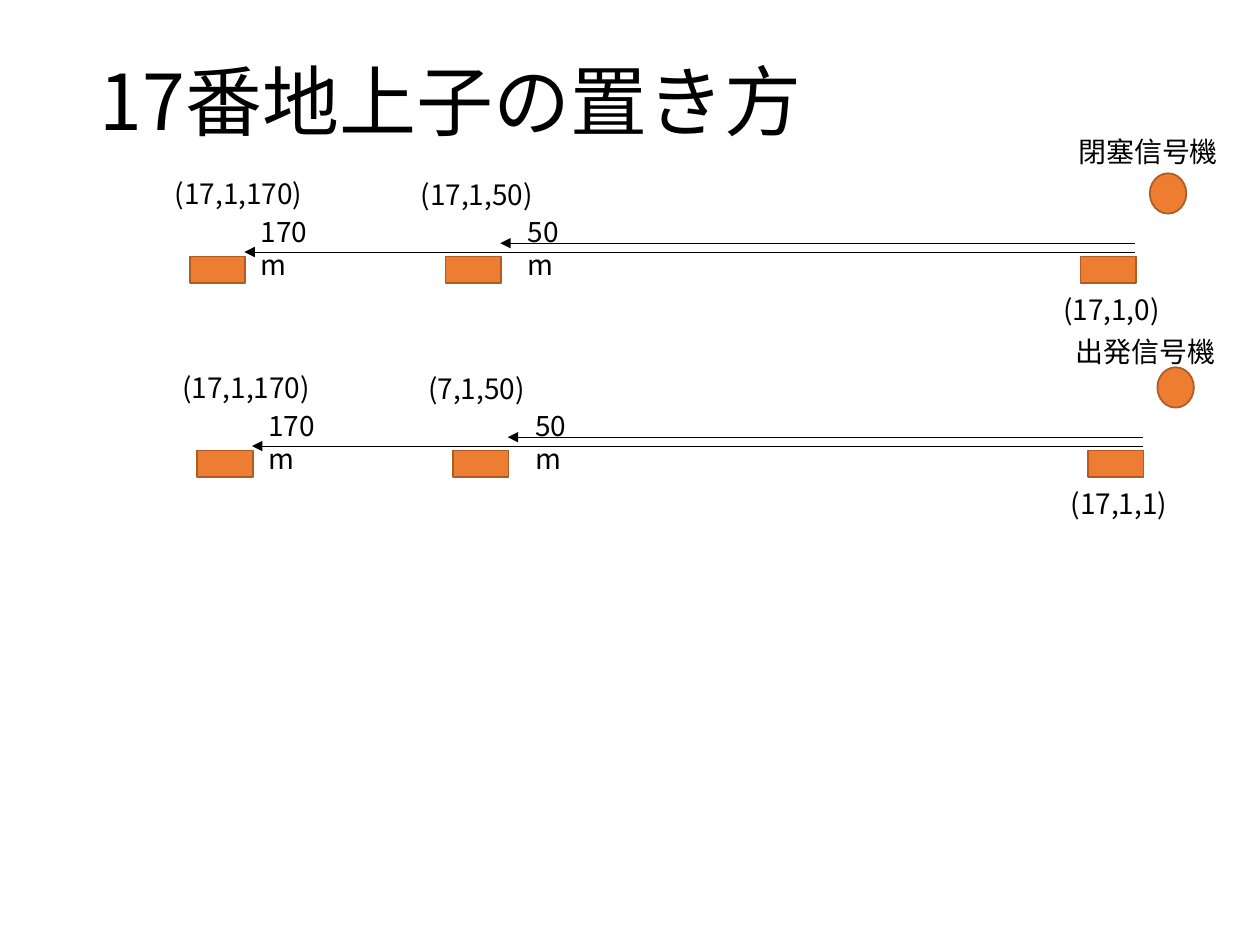
from dataclasses import dataclass

from pptx import Presentation
from pptx.dml.color import RGBColor
from pptx.enum.shapes import MSO_CONNECTOR as CONNECTOR, MSO_SHAPE as SHAPE
from pptx.enum.text import MSO_ANCHOR as ANCHOR, PP_ALIGN as ALIGN
from pptx.oxml.ns import qn
from pptx.util import Inches, Pt
from lxml.etree import SubElement


@dataclass(frozen=True)
class Theme:
    """Colours, font and type sizes of the slide."""
    font: str = "Noto Sans CJK JP"
    title_size: int = 44
    label_size: int = 16
    ink: RGBColor = RGBColor(0, 0, 0)
    fill: RGBColor = RGBColor(0xED, 0x7D, 0x31)
    outline: RGBColor = RGBColor(0xAF, 0x5C, 0x24)


THEME = Theme()
LABEL_HEIGHT = 0.37
BEACON_TOP = 0.57


def style_text(paragraph, size):
    """Set font, size and colour of a paragraph, East Asian font included."""
    font = paragraph.font
    font.name, font.size, font.color.rgb = THEME.font, Pt(size), THEME.ink
    for run in paragraph.runs:
        SubElement(run._r.get_or_add_rPr(), qn("a:ea"), typeface=THEME.font)


def add_title(slide, text):
    """Place the slide title."""
    title = slide.shapes.title
    title.left, title.top = Inches(0.69), Inches(0.4)
    title.width, title.height = Inches(8.62), Inches(0.88)
    frame = title.text_frame
    frame.text, frame.vertical_anchor = text, ANCHOR.MIDDLE
    paragraph = frame.paragraphs[0]
    paragraph.alignment, paragraph.line_spacing = ALIGN.LEFT, 0.9
    style_text(paragraph, THEME.title_size)


def add_label(slide, text, left, top, width):
    """Place a one-paragraph label."""
    label = slide.shapes.add_textbox(
        Inches(left), Inches(top), Inches(width), Inches(LABEL_HEIGHT))
    label.text_frame.word_wrap = True
    label.text_frame.text = text
    style_text(label.text_frame.paragraphs[0], THEME.label_size)


def add_marker(slide, kind, left, top, width, height):
    """Place an orange shape turned by a quarter."""
    marker = slide.shapes.add_shape(
        kind, Inches(left), Inches(top), Inches(width), Inches(height))
    marker.rotation = 90
    marker.shadow.inherit = False
    marker.fill.solid()
    marker.fill.fore_color.rgb = THEME.fill
    marker.line.color.rgb = THEME.outline
    marker.line.width = Pt(1)


def add_arrow(slide, start, end, y):
    """Draw a thin horizontal arrow from start to end."""
    arrow = slide.shapes.add_connector(
        CONNECTOR.STRAIGHT, Inches(start), Inches(y), Inches(end), Inches(y))
    arrow.line.color.rgb = THEME.ink
    arrow.line.width = Pt(0.5)
    SubElement(arrow.line._get_or_add_ln(), qn("a:tailEnd"), type="triangle")
    SubElement(arrow._element.spPr, qn("a:effectLst"))


def add_track(slide, left, top, far, near, origin, signal, signal_at):
    """Draw a signal, its three beacons and their distances from (left, top)."""
    add_marker(slide, SHAPE.OVAL, left + 7.82, top + 0.04, 0.32, 0.29)
    for x in (0.33, 2.36, 7.4):
        add_marker(slide, SHAPE.RECTANGLE, left + x, top + BEACON_TOP, 0.21, 0.44)
    for end, y in ((2.68, 0.58), (0.65, 0.65)):
        add_arrow(slide, left + 7.72, left + end, top + y)
    for text, x, y, width in (
            (far, 0, 0, 1.26), (near, 1.95, 0.01, 1.13),
            (origin, 7.05, 0.92, 1.01),
            ("170m", 0.68, 0.3, 0.74), ("50m", 2.8, 0.3, 0.62)):
        add_label(slide, text, left + x, top + y, width)
    add_label(slide, signal, *signal_at, 1.35)


def main():
    """Build and save the slide."""
    deck = Presentation()
    deck.slide_width, deck.slide_height = Inches(10), Inches(7.5)
    slide = deck.slides.add_slide(deck.slide_layouts[5])
    add_title(slide, "17番地上子の置き方")
    add_track(slide, 1.29, 1.35, "(17,1,170)", "(17,1,50)", "(17,1,0)",
              "閉塞信号機", (8.46, 1.02))
    add_track(slide, 1.35, 2.89, "(17,1,170)", "(7,1,50)", "(17,1,1)",
              "出発信号機", (8.44, 2.61))
    deck.save("out.pptx")


main()
